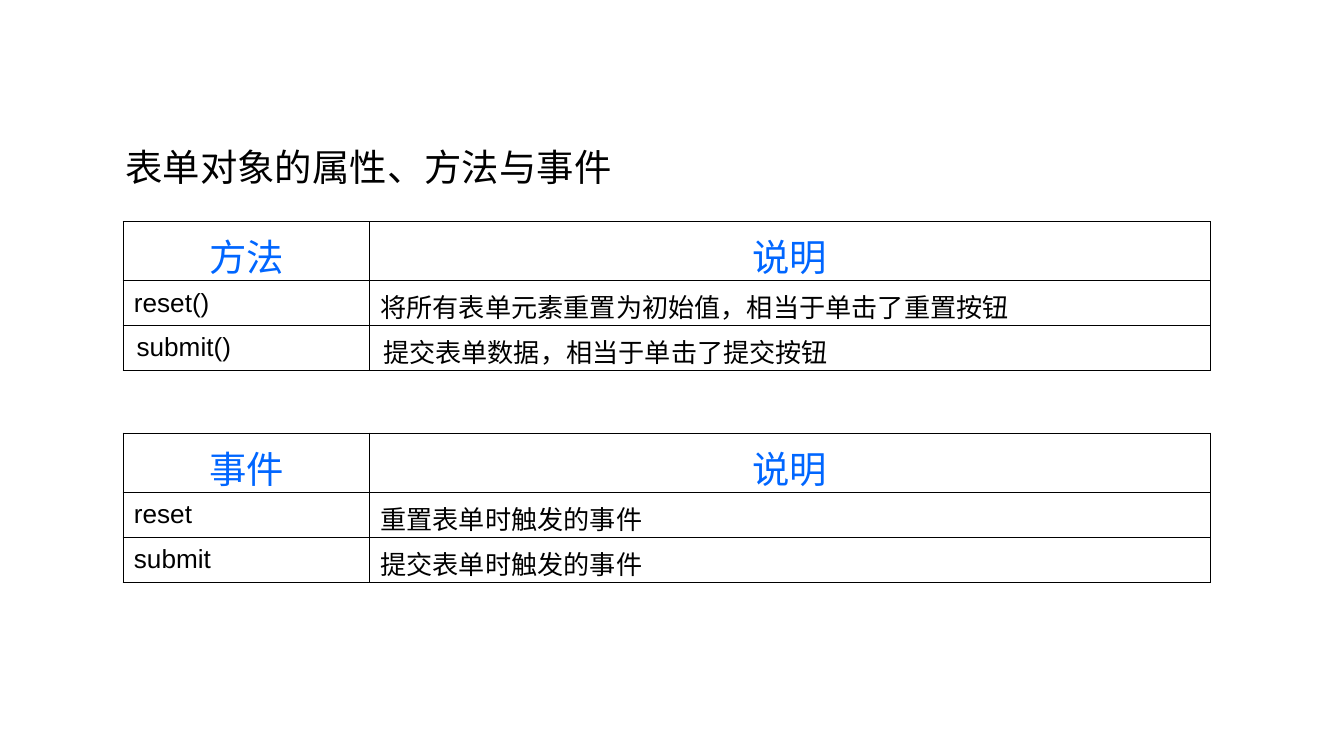
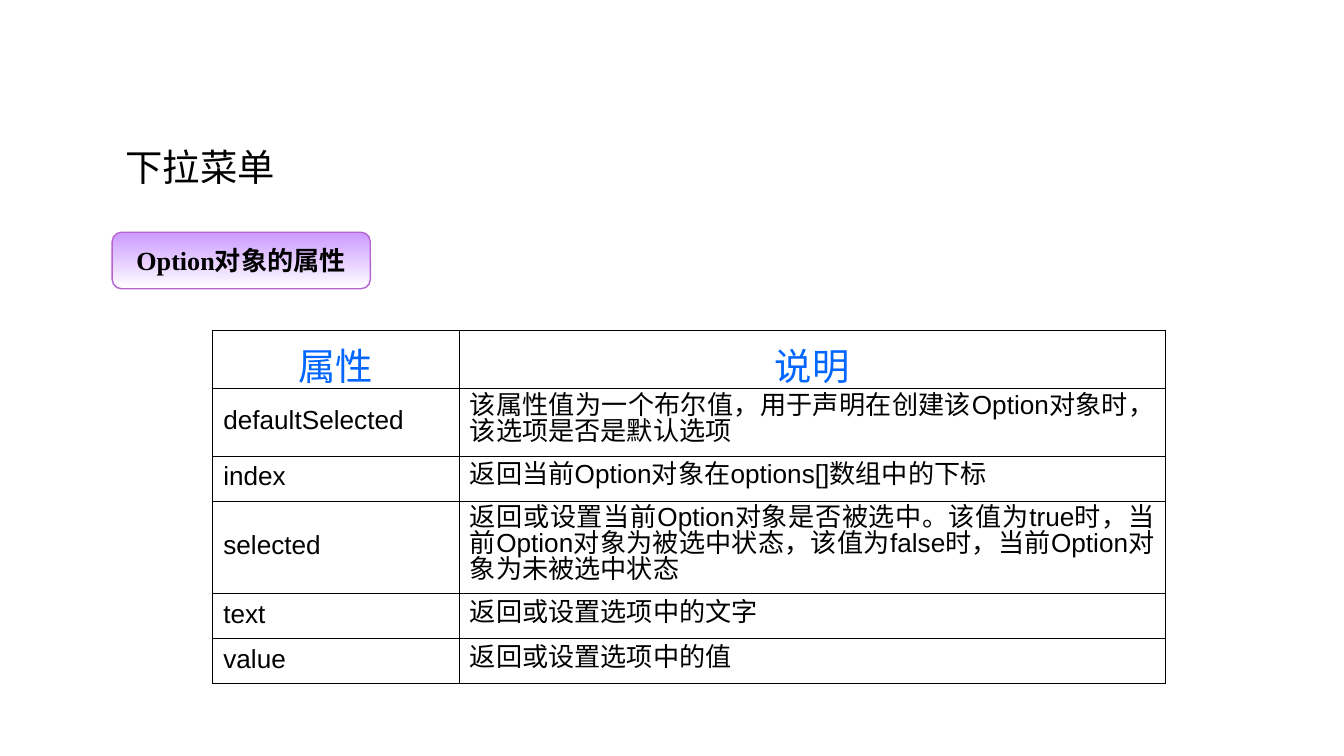
from lxml import etree
from pptx import Presentation
from pptx.dml.color import RGBColor
from pptx.enum import shapes, text
from pptx.oxml import ns
from pptx.util import Cm, Pt

HUES = {"ink": "000000", "head": "0066FF", "edge": "B563CF",
        "top": "CC99FF", "base": "FFFFFF"}
MID, TOP = text.MSO_ANCHOR.MIDDLE, text.MSO_ANCHOR.TOP
LEFT, MIDST, FULL = text.PP_ALIGN.LEFT, text.PP_ALIGN.CENTER, text.PP_ALIGN.JUSTIFY
BLANK = 6
HEAD_H, ROW_H, KEY_W = 1.11, 0.85, 4.66


def look(align, size=14, hue="ink", anchor=MID, side=0.2, font="Arial", bold=None, **para):
    """Gather the format values of one kind of text."""
    return {
        "frame": {"vertical_anchor": anchor, "margin_left": Cm(side),
                  "margin_right": Cm(side), "margin_top": Cm(0.13),
                  "margin_bottom": Cm(0.13)},
        "para": {"alignment": align, **para},
        "font": {"name": font, "size": Pt(size), "bold": bold},
        "hue": hue,
    }


LOOKS = {
    "title": look(LEFT, 20, anchor=TOP, side=0.25, font="Times New Roman"),
    "badge": look(MIDST, side=0.25, font="Times New Roman", bold=True),
    "head": look(MIDST, 20, "head", side=0.25),
    "body": look(FULL, space_after=Pt(1.2)),
    "tight": look(FULL, line_spacing=Pt(14)),
    "key top": look(LEFT, anchor=TOP, side=0.25),
    "note top": look(FULL, anchor=TOP, side=0.25, space_after=Pt(1.2)),
}


def apply(item, values):
    for name, value in values.items():
        setattr(item, name, value)


class Deck:
    def __init__(self):
        self.show = Presentation()
        apply(self.show, {"slide_width": Cm(25.4), "slide_height": Cm(14.29)})
        self.slide = None

    def hue(self, name):
        return RGBColor.from_string(HUES[name])

    def label(self, frame, words, kind, box=None):
        """Put words in a frame; box holds the margins and anchor (a cell or the frame)."""
        style = LOOKS[kind]
        apply(box or frame, style["frame"])
        para = frame.paragraphs[0]
        apply(para, style["para"])
        run = para.add_run()
        run.text = words
        apply(run.font, style["font"])
        run.font.color.rgb = self.hue(style["hue"])

    def page(self, title):
        self.slide = self.show.slides.add_slide(self.show.slide_layouts[BLANK])
        box = self.slide.shapes.add_textbox(Cm(2.12), Cm(2.59), Cm(12.07), Cm(1.11))
        apply(box.text_frame, {"word_wrap": True,
                               "auto_size": text.MSO_AUTO_SIZE.SHAPE_TO_FIT_TEXT})
        self.label(box.text_frame, title, "title")

    def badge(self, words, x, y, w, h):
        shape = self.slide.shapes.add_shape(
            shapes.MSO_SHAPE.ROUNDED_RECTANGLE, Cm(x), Cm(y), Cm(w), Cm(h))
        shape.shadow.inherit = False
        shape.fill.gradient()
        shape.fill.gradient_angle = 270
        for stop, name, spot in zip(shape.fill.gradient_stops, ("top", "base"), (0, 1)):
            stop.color.rgb = self.hue(name)
            stop.position = spot
        shape.line.color.rgb = self.hue("edge")
        shape.line.width = Pt(0.75)
        shape.text_frame.word_wrap = False
        self.label(shape.text_frame, words, "badge")

    def rule(self, cell, outer):
        """Draw the four cell borders, thicker on the sides named in outer."""
        props = cell._tc.get_or_add_tcPr()
        for side in "LRTB":
            width = Pt(0.75 if side in outer else 0.45)
            line = etree.SubElement(props, ns.qn(f"a:ln{side}"), w=str(int(width)))
            fill = etree.SubElement(line, ns.qn("a:solidFill"))
            etree.SubElement(fill, ns.qn("a:srgbClr"), val=HUES["ink"])

    def table(self, x, y, note_w, rows, kind="body", highs=None, kinds=None):
        """Draw a two-column table; kinds gives other looks by (row, column)."""
        highs = highs or [HEAD_H] + [ROW_H] * (len(rows) - 1)
        wides = (KEY_W, note_w)
        grid = self.slide.shapes.add_table(
            len(rows), len(wides), Cm(x), Cm(y), Cm(sum(wides)), Cm(sum(highs))).table
        apply(grid, {"first_row": False, "horz_banding": False})
        for col, wide in zip(grid.columns, wides):
            col.width = Cm(wide)
        for r, (row, high) in enumerate(zip(rows, highs)):
            grid.rows[r].height = Cm(high)
            for c, words in enumerate(row):
                cell = grid.cell(r, c)
                outer = "LR"[c] + "T" * (r == 0) + "B" * (r == len(rows) - 1)
                self.rule(cell, outer)
                cell.fill.background()
                style = (kinds or {}).get((r, c), kind if r else "head")
                self.label(cell.text_frame, words, style, cell)


def main():
    deck = Deck()

    deck.page("表单对象的属性、方法与事件")
    deck.table(2.33, 4.19, 15.88, [
        ("方法", "说明"),
        ("reset()", "将所有表单元素重置为初始值，相当于单击了重置按钮"),
        ("submit()", "提交表单数据，相当于单击了提交按钮"),
    ], kinds={(2, 0): "key top", (2, 1): "note top"})
    deck.table(2.33, 8.19, 15.88, [
        ("事件", "说明"),
        ("reset", "重置表单时触发的事件"),
        ("submit", "提交表单时触发的事件"),
    ])

    deck.page("下拉菜单")
    deck.table(4.02, 6.24, 13.34, [
        ("属性", "说明"),
        ("defaultSelected", "该属性值为一个布尔值，用于声明在创建该Option对象时，该选项是否是默认选项"),
        ("index", "返回当前Option对象在options[]数组中的下标"),
        ("selected", "返回或设置当前Option对象是否被选中。该值为true时，"
                     "当前Option对象为被选中状态，该值为false时，当前Option对象为未被选中状态"),
        ("text", "返回或设置选项中的文字"),
        ("value", "返回或设置选项中的值"),
    ], "tight", [HEAD_H, 1.27, ROW_H, 1.7, ROW_H, ROW_H])
    deck.badge("Option对象的属性", 2.12, 4.39, 4.88, 1.07)

    deck.show.save("out.pptx")


if __name__ == "__main__":
    main()
